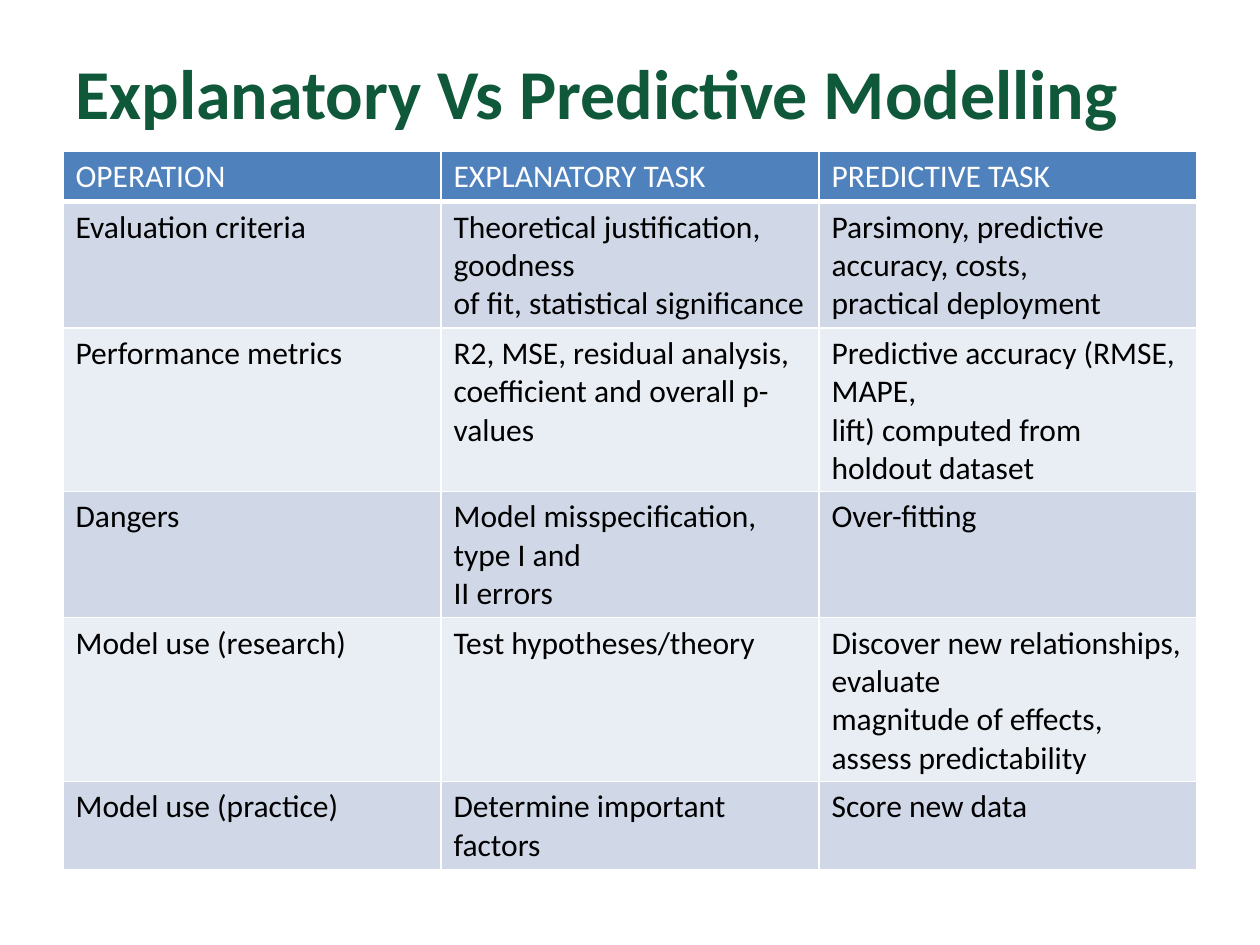
from typing import NamedTuple

from lxml import etree
from pptx import Presentation
from pptx.dml.color import RGBColor
from pptx.enum.text import MSO_ANCHOR
from pptx.oxml.ns import qn
from pptx.util import Cm, Pt

MIDDLE = MSO_ANCHOR.MIDDLE
GREEN = RGBColor(0x0F, 0x58, 0x3A)
BLUE = RGBColor(0x4F, 0x81, 0xBD)
BAND_DARK = RGBColor(0xD0, 0xD8, 0xE8)
BAND_LIGHT = RGBColor(0xE9, 0xED, 0xF4)
WHITE = RGBColor(0xFF, 0xFF, 0xFF)
BLACK = RGBColor(0x00, 0x00, 0x00)

LEFT, WIDTH = Cm(1.27), Cm(22.86)
TITLE_FONT = {"name": "Calibri", "size": Pt(40), "bold": True}
CELL_FONT = {"name": "Calibri", "size": Pt(18), "bold": False}


class Row(NamedTuple):
    height: float
    operation: str
    explanatory: str
    predictive: str


ROWS = [
    Row(0.99, "OPERATION", "EXPLANATORY TASK", "PREDICTIVE TASK"),
    Row(2.49, "Evaluation criteria",
        "Theoretical justification, goodness\nof fit, statistical significance",
        "Parsimony, predictive accuracy, costs,\npractical deployment"),
    Row(3.25, "Performance metrics",
        "R2, MSE, residual analysis,\ncoefficient and overall p-values",
        "Predictive accuracy (RMSE, MAPE,\nlift) computed from holdout dataset"),
    Row(2.49, "Dangers",
        "Model misspecification, type I and\nII errors",
        "Over-fitting"),
    Row(3.25, "Model use (research)", "Test hypotheses/theory",
        "Discover new relationships, evaluate\n"
        "magnitude of effects, assess predictability"),
    Row(1.75, "Model use (practice)", "Determine important factors",
        "Score new data"),
]


def write_text(tf, text: str, font: dict, color: RGBColor) -> None:
    tf.text = text
    for p in tf.paragraphs:
        for r in p.runs:
            for name, value in font.items():
                setattr(r.font, name, value)
            r.font.color.rgb = color


def add_borders(cell, bottom: float) -> None:
    tc_pr = cell._tc.get_or_add_tcPr()
    for side, width in {"L": 1, "R": 1, "T": 1, "B": bottom}.items():
        ln = etree.SubElement(tc_pr, qn(f"a:ln{side}"), w=str(Pt(width)))
        fill = etree.SubElement(ln, qn("a:solidFill"))
        etree.SubElement(fill, qn("a:srgbClr"), val=str(WHITE))


def add_title(s, text: str) -> None:
    tf = s.shapes.add_textbox(LEFT, Cm(0.76), WIDTH, Cm(2.16)).text_frame
    tf.word_wrap = True
    tf.vertical_anchor = MIDDLE
    write_text(tf, text, TITLE_FONT, GREEN)


def add_comparison(s, rows: list[Row]) -> None:
    height = Cm(sum(row.height for row in rows))
    table = s.shapes.add_table(len(rows), 3, LEFT, Cm(3.05), WIDTH, height).table
    for i, row in enumerate(rows):
        table.rows[i].height = Cm(row.height)
        header = i == 0
        fill = BLUE if header else BAND_DARK if i % 2 else BAND_LIGHT
        for cell, text in zip(table.rows[i].cells, row[1:]):
            add_borders(cell, 3 if header else 1)
            cell.fill.solid()
            cell.fill.fore_color.rgb = fill
            write_text(cell.text_frame, text, CELL_FONT, WHITE if header else BLACK)


def main() -> None:
    prs = Presentation()
    prs.slide_width, prs.slide_height = Cm(25.4), Cm(19.05)
    s = prs.slides.add_slide(prs.slide_layouts[6])
    add_title(s, "Explanatory Vs Predictive Modelling")
    add_comparison(s, ROWS)
    prs.save("out.pptx")


if __name__ == "__main__":
    main()
